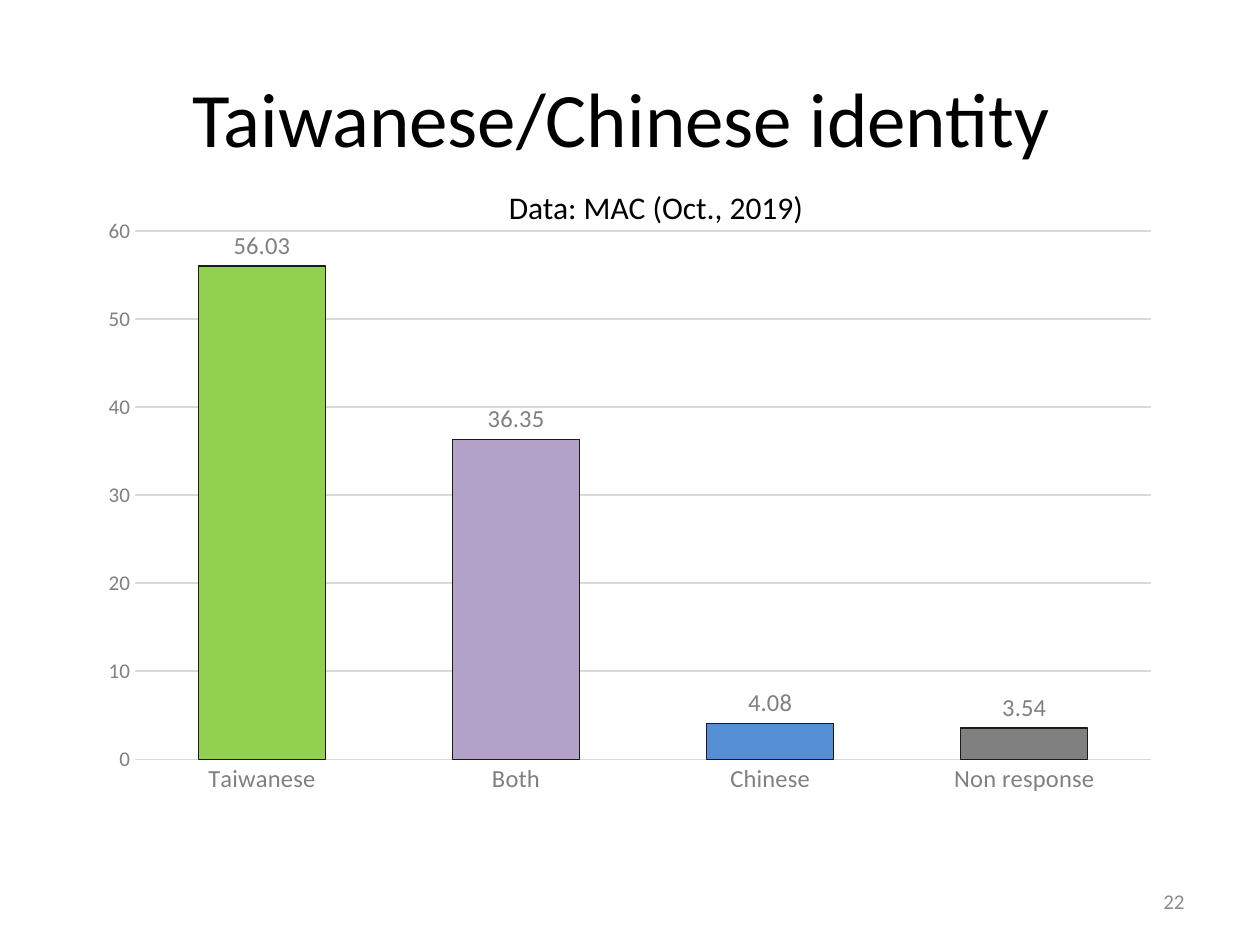
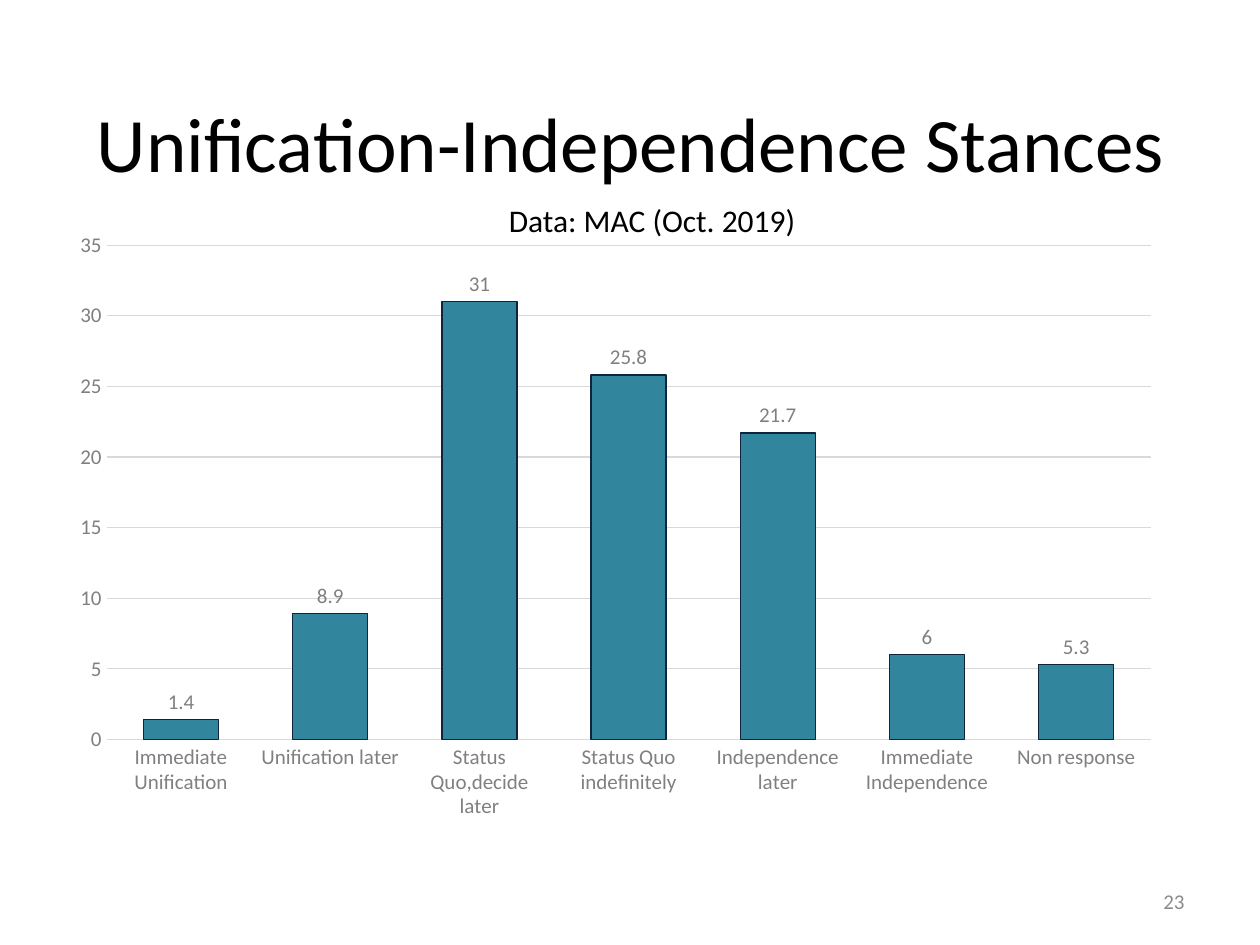
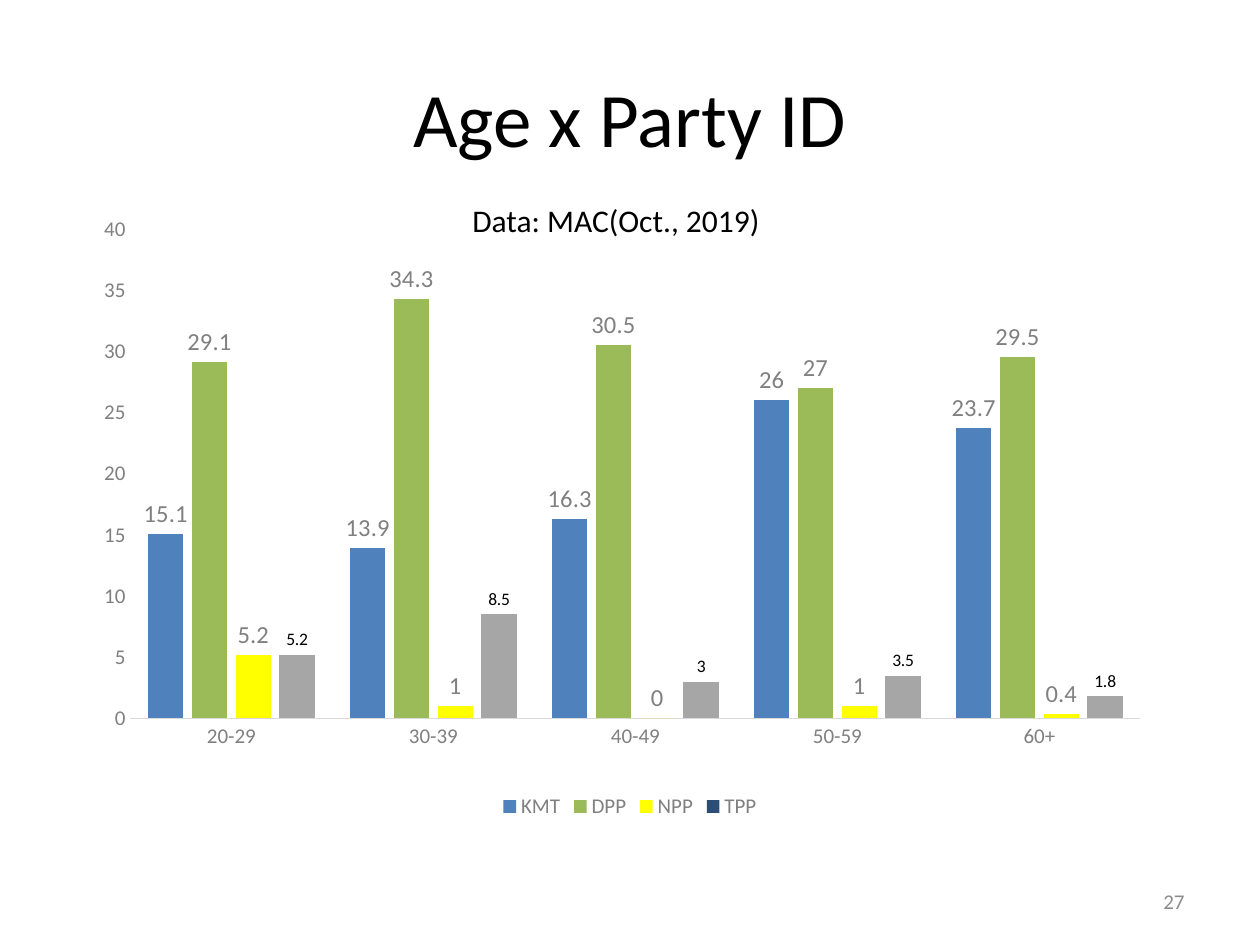
from dataclasses import dataclass, field

from lxml.etree import SubElement
from pptx import Presentation
from pptx.chart.chart import Chart
from pptx.chart.data import CategoryChartData
from pptx.chart.series import BarSeries
from pptx.dml.color import RGBColor
from pptx.dml.fill import FillFormat
from pptx.enum.chart import XL_CHART_TYPE as ChartType
from pptx.enum.chart import XL_LABEL_POSITION as LabelPosition
from pptx.enum.chart import XL_LEGEND_POSITION as LegendPosition
from pptx.enum.chart import XL_TICK_MARK as TickMark
from pptx.enum.text import MSO_ANCHOR as Anchor
from pptx.enum.text import PP_ALIGN as Align
from pptx.oxml.ns import qn
from pptx.slide import Slide
from pptx.text.text import Font
from pptx.util import Inches, Pt

# Shared style
FONT = "Calibri"
BLACK = RGBColor(0x00, 0x00, 0x00)
GRAY = RGBColor(0x80, 0x80, 0x80)
NUMBER_GRAY = RGBColor(0x8C, 0x8C, 0x8C)
GRID_GRAY = RGBColor(0xD9, 0xD9, 0xD9)
LIGHT_GRAY = RGBColor(0xA6, 0xA6, 0xA6)
LIME = RGBColor(0x92, 0xD0, 0x50)
LILAC = RGBColor(0xB3, 0xA2, 0xC7)
SKY = RGBColor(0x55, 0x8E, 0xD5)
TEAL = RGBColor(0x31, 0x85, 0x9C)
BLUE = RGBColor(0x4F, 0x81, 0xBD)
GREEN = RGBColor(0x9B, 0xBB, 0x59)
YELLOW = RGBColor(0xFF, 0xFF, 0x00)
NAVY = RGBColor(0x2C, 0x4D, 0x75)
DARK_BROWN = RGBColor(0x1E, 0x1C, 0x11)
DARK_NAVY = RGBColor(0x0F, 0x24, 0x3E)
THIN_LINE = Pt(0.75)


@dataclass
class Box:
    left: float
    top: float
    width: float
    height: float

    def lengths(self) -> list[Inches]:
        return [Inches(value) for value in (self.left, self.top, self.width, self.height)]


@dataclass
class Bars:
    name: str
    values: list[float]
    color: RGBColor
    outline: RGBColor | None = None
    point_colors: dict[int, RGBColor] = field(default_factory=dict)
    label_size: int = 14
    label_color: RGBColor = GRAY


@dataclass
class ChartSlide:
    title: str
    number: int
    source: str
    source_box: Box
    chart_box: Box
    categories: list[str]
    bars: list[Bars]
    title_box: Box = field(default_factory=lambda: Box(0.5, 0.3, 9, 1.25))
    category_size: int = 12
    gap_width: int = 100
    gridlines: bool = True
    legend: bool = False
    plot_area: Box | None = None  # fractions of the chart


NUMBER_BOX = Box(7.17, 6.95, 2.33, 0.4)

SLIDES = [
    ChartSlide(
        title="Taiwanese/Chinese identity ",
        number=22,
        source="Data: MAC (Oct., 2019)",
        source_box=Box(3.94, 1.44, 2.75, 0.4),
        chart_box=Box(0.69, 1.64, 8.62, 4.76),
        categories=["Taiwanese", "Both", "Chinese", "Non response"],
        bars=[Bars("Series 1", [56.03, 36.35, 4.08, 3.54], LIME, DARK_BROWN,
                   {1: LILAC, 2: SKY, 3: GRAY})],
        category_size=14,
    ),
    ChartSlide(
        title="Unification-Independence Stances",
        number=23,
        source="Data: MAC (Oct. 2019)",
        source_box=Box(3.94, 1.55, 2.51, 0.4),
        chart_box=Box(0.46, 1.75, 8.85, 4.85),
        categories=["Immediate Unification", "Unification later", "Status Quo,decide later",
                    "Status Quo indefinitely", "Independence later",
                    "Immediate Independence", "Non response"],
        bars=[Bars("Series 1", [1.4, 8.9, 31, 25.8, 21.7, 6, 5.3], TEAL, DARK_NAVY,
                   label_size=12)],
        title_box=Box(0.46, 0.4, 9.1, 1.45),
        gap_width=99,
    ),
    ChartSlide(
        title="Age x Party ID",
        number=27,
        source="Data: MAC(Oct., 2019)",
        source_box=Box(3.65, 1.55, 2.51, 0.4),
        chart_box=Box(0.69, 1.62, 8.62, 4.92),
        categories=["20-29", "30-39", "40-49", "50-59", "60+"],
        bars=[
            Bars("KMT", [15.1, 13.9, 16.3, 26, 23.7], BLUE),
            Bars("DPP", [29.1, 34.3, 30.5, 27, 29.5], GREEN),
            Bars("NPP", [5.2, 1, 0, 1, 0.4], YELLOW),
            Bars("TPP", [5.2, 8.5, 3, 3.5, 1.8], NAVY,
                 point_colors=dict.fromkeys(range(5), LIGHT_GRAY),
                 label_size=10, label_color=BLACK),
        ],
        gridlines=False,
        legend=True,
        plot_area=Box(0.04, 0.04, 0.93, 0.79),
    ),
]


def set_font(font: Font, size: int, color: RGBColor) -> None:
    font.name = FONT
    font.size = Pt(size)
    font.color.rgb = color


def set_solid(fill: FillFormat, color: RGBColor) -> None:
    fill.solid()
    fill.fore_color.rgb = color


def add_text(slide: Slide, box: Box, text: str, size: int, color: RGBColor = BLACK,
             align: Align = Align.LEFT, anchor: Anchor = Anchor.MIDDLE) -> None:
    frame = slide.shapes.add_textbox(*box.lengths()).text_frame
    frame.word_wrap = True
    frame.vertical_anchor = anchor
    paragraph = frame.paragraphs[0]
    paragraph.text = text
    paragraph.alignment = align
    set_font(paragraph.font, size, color)


def style_axes(chart: Chart, content: ChartSlide) -> None:
    category_axis, value_axis = chart.category_axis, chart.value_axis
    for axis, size in ((category_axis, content.category_size), (value_axis, 12)):
        axis.major_tick_mark = axis.minor_tick_mark = TickMark.NONE
        set_font(axis.tick_labels.font, size, GRAY)
    lines = [category_axis.format.line]
    value_axis.format.line.fill.background()
    value_axis.has_major_gridlines = content.gridlines
    if content.gridlines:
        lines.append(value_axis.major_gridlines.format.line)
    for line in lines:
        line.color.rgb = GRID_GRAY
        line.width = THIN_LINE


def style_series(series: BarSeries, bars: Bars) -> None:
    series.invert_if_negative = False
    targets = [(series.format, bars.color)]
    targets += [(series.points[index].format, color)
                for index, color in bars.point_colors.items()]
    for target, color in targets:
        set_solid(target.fill, color)
        if bars.outline is None:
            target.line.fill.background()
        else:
            target.line.color.rgb = bars.outline
            target.line.width = THIN_LINE
    labels = series.data_labels
    labels.show_value = True
    labels.position = LabelPosition.OUTSIDE_END
    set_font(labels.font, bars.label_size, bars.label_color)


def place_plot_area(chart: Chart, area: Box) -> None:
    plot_area = chart.element.find(".//" + qn("c:plotArea"))
    for layout in plot_area.findall(qn("c:layout")):
        plot_area.remove(layout)
    layout = SubElement(plot_area, qn("c:layout"))
    plot_area.insert(0, layout)
    manual = SubElement(layout, qn("c:manualLayout"))
    settings = {"layoutTarget": "inner", "xMode": "edge", "yMode": "edge",
                "x": area.left, "y": area.top, "w": area.width, "h": area.height}
    for tag, value in settings.items():
        SubElement(manual, qn(f"c:{tag}")).set("val", str(value))


def add_bar_chart(slide: Slide, content: ChartSlide) -> None:
    data = CategoryChartData()
    data.categories = content.categories
    for bars in content.bars:
        data.add_series(bars.name, bars.values)
    chart = slide.shapes.add_chart(
        ChartType.COLUMN_CLUSTERED, *content.chart_box.lengths(), data).chart
    set_font(chart.font, 10, BLACK)
    chart.has_title = False
    chart.has_legend = content.legend
    if content.legend:
        chart.legend.position = LegendPosition.BOTTOM
        chart.legend.include_in_layout = False
        set_font(chart.legend.font, 12, GRAY)
    plot = chart.plots[0]
    plot.gap_width = content.gap_width
    plot.overlap = -24
    plot.vary_by_categories = False
    style_axes(chart, content)
    for series, bars in zip(plot.series, content.bars):
        style_series(series, bars)
    if content.plot_area:
        place_plot_area(chart, content.plot_area)


def main() -> None:
    presentation = Presentation()
    presentation.slide_width = Inches(10)
    presentation.slide_height = Inches(7.5)
    for content in SLIDES:
        slide = presentation.slides.add_slide(presentation.slide_layouts[6])
        add_text(slide, content.title_box, content.title, 44, align=Align.CENTER)
        add_bar_chart(slide, content)
        add_text(slide, NUMBER_BOX, str(content.number), 12, NUMBER_GRAY, Align.RIGHT)
        add_text(slide, content.source_box, content.source, 18, anchor=Anchor.TOP)
    presentation.save("out.pptx")


if __name__ == "__main__":
    main()
